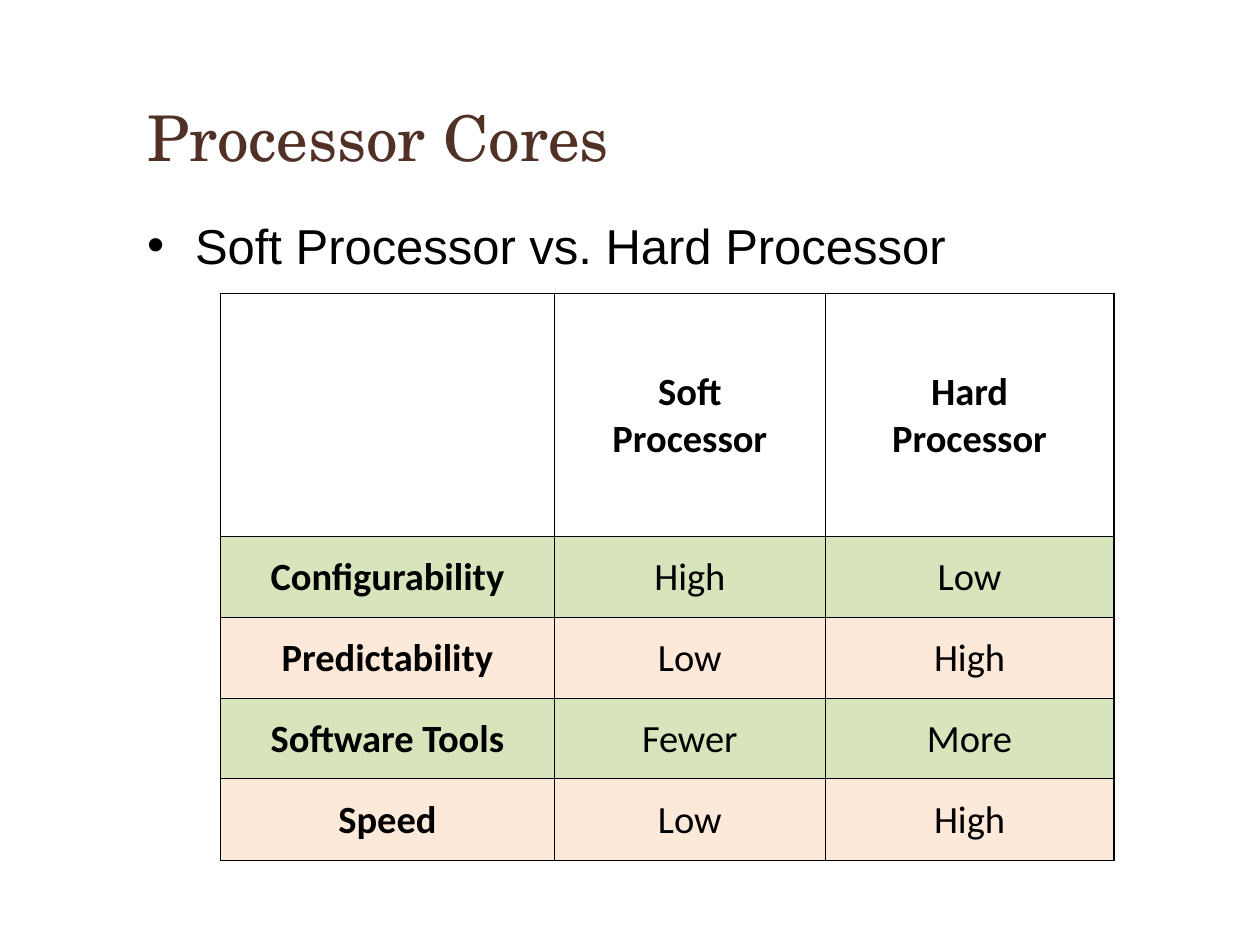
import pptx
import pptx.dml.color
import pptx.enum.text
import pptx.oxml.ns
import pptx.util
from lxml import etree

Inches = pptx.util.Inches
Pt = pptx.util.Pt
Anchor = pptx.enum.text.MSO_ANCHOR
qn = pptx.oxml.ns.qn

COLORS = {
    "title": "513026",
    "ink": "000000",
    "header": "FFFFFF",
    "green": "D7E4BC",
    "peach": "FDE9D9",
}


class SlideBuilder:
    def __init__(self, slide):
        self.slide = slide

    def color(self, name):
        return pptx.dml.color.RGBColor.from_string(COLORS[name])

    def add_run(self, paragraph, text, font, size, color="ink", bold=False):
        run = paragraph.add_run()
        run.text = text
        run.font.name = font
        run.font.size = Pt(size)
        run.font.bold = bold
        run.font.color.rgb = self.color(color)

    def text(self, box, text, font, size, color="ink", anchor=Anchor.TOP, bullet=None):
        frame = self.slide.shapes.add_textbox(*map(Inches, box)).text_frame
        frame.word_wrap = True
        frame.vertical_anchor = anchor
        paragraph = frame.paragraphs[0]
        if bullet:
            properties = paragraph._p.get_or_add_pPr()
            properties.set("marL", str(Inches(0.38)))
            properties.set("indent", str(-Inches(0.38)))
            etree.SubElement(properties, qn("a:buFont"), typeface="Arial")
            etree.SubElement(properties, qn("a:buChar"), char=bullet)
        self.add_run(paragraph, text, font, size, color)

    def borders(self, cell, widths):
        """Draw the left, right, top and bottom edges, widths in points."""
        properties = cell._tc.get_or_add_tcPr()
        for index, (side, width) in enumerate(zip("LRTB", widths)):
            line = etree.Element(qn(f"a:ln{side}"), w=str(Pt(width)))
            fill = etree.SubElement(line, qn("a:solidFill"))
            etree.SubElement(fill, qn("a:srgbClr"), val=COLORS["ink"])
            properties.insert(index, line)

    def cell(self, cell, text, fill, bold):
        cell.fill.solid()
        cell.fill.fore_color.rgb = self.color(fill)
        cell.vertical_anchor = Anchor.MIDDLE
        cell.margin_left = cell.margin_right = cell.margin_top = Inches(0.01)
        cell.margin_bottom = 0
        paragraph = cell.text_frame.paragraphs[0]
        paragraph.alignment = pptx.enum.text.PP_ALIGN.CENTER
        for index, part in enumerate(text.split("\n") if text else []):
            if index:
                paragraph.add_line_break()
            self.add_run(paragraph, part, "Calibri", 22, bold=bold)

    def table(self, left, top, widths, heights, rows, fills):
        table = self.slide.shapes.add_table(
            len(rows), len(widths), Inches(left), Inches(top),
            Inches(sum(widths)), Inches(sum(heights))).table
        for column, width in zip(table.columns, widths):
            column.width = Inches(width)
        last_row, last_column = len(rows) - 1, len(widths) - 1
        for r, values in enumerate(rows):
            table.rows[r].height = Inches(heights[r])
            for c, value in enumerate(values):
                cell = table.cell(r, c)
                self.cell(cell, value, fills[r], bold=r == 0 or c == 0)
                # Heavy outer frame and header rule, thin inner grid
                heavy = (c == 0, c == last_column, r <= 1, r in (0, last_row))
                self.borders(cell, [1 if edge else 0.5 for edge in heavy])


def main():
    presentation = pptx.Presentation()
    presentation.slide_width = Inches(10)
    presentation.slide_height = Inches(7.5)
    builder = SlideBuilder(presentation.slides.add_slide(presentation.slide_layouts[6]))

    # Heading and topic
    builder.text((1.07, 0, 8.43, 2.17), "Processor Cores", "TeX Gyre Schola", 36,
                 color="title", anchor=Anchor.MIDDLE)
    builder.text((1.07, 1.66, 8.43, 0.6), "Soft Processor vs. Hard Processor",
                 "Arial", 28, bullet="•")

    # Comparison of the two kinds of core
    comparison = [
        ("", "Soft\nProcessor", "Hard\nProcessor"),
        ("Configurability", "High", "Low"),
        ("Predictability", "Low", "High"),
        ("Software Tools", "Fewer", "More"),
        ("Speed", "Low", "High"),
    ]
    builder.table(1.75, 2.33, (2.65, 2.15, 2.29), (1.93, 0.64, 0.64, 0.64, 0.65),
                  comparison, ["header"] + ["green", "peach"] * 2)

    presentation.save("out.pptx")


if __name__ == "__main__":
    main()
